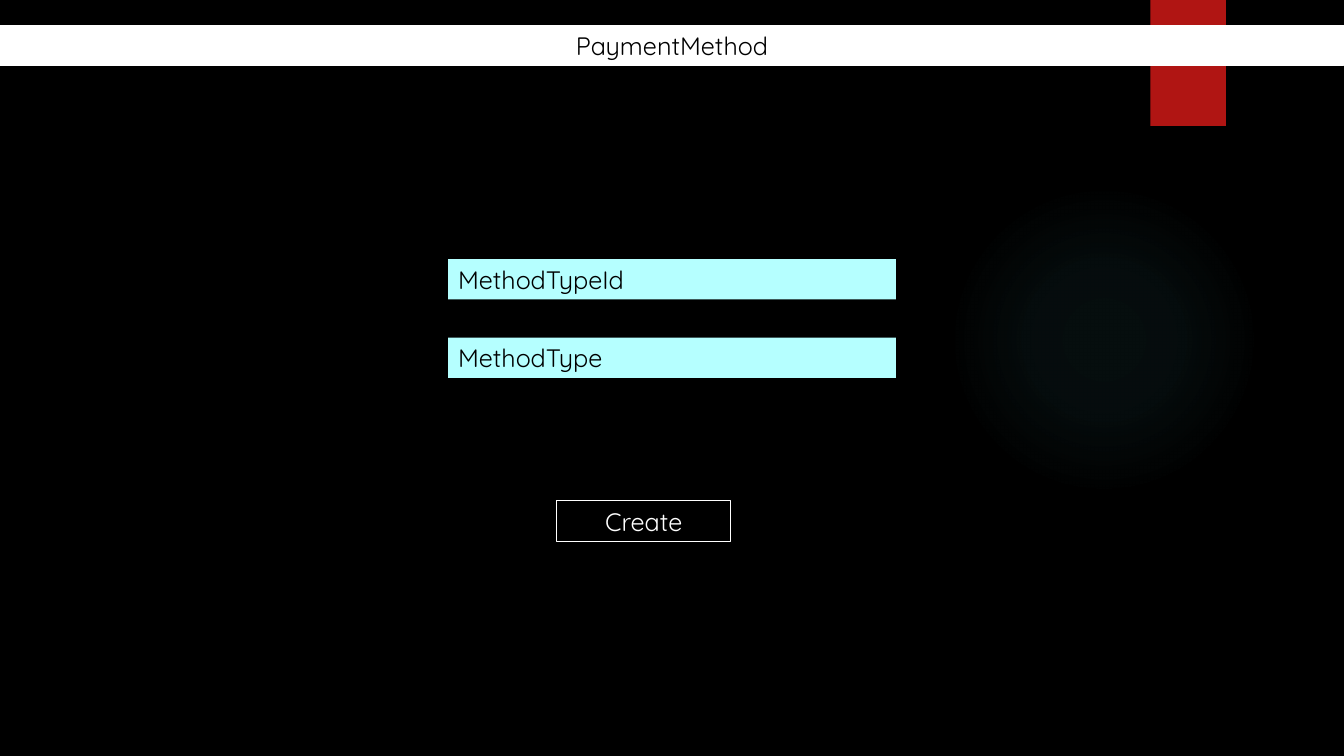
"""Build the PaymentMethod form slide."""
from pptx import Presentation
from pptx.dml.color import RGBColor
from pptx.enum.shapes import MSO_SHAPE
from pptx.enum.text import MSO_ANCHOR, MSO_AUTO_SIZE, PP_ALIGN
from pptx.oxml import parse_xml
from pptx.oxml.ns import nsdecls
from pptx.util import Inches, Pt

BLACK = RGBColor(0x00, 0x00, 0x00)
WHITE = RGBColor(0xFF, 0xFF, 0xFF)
RED = RGBColor(0xB0, 0x15, 0x13)
AQUA = RGBColor(0xB5, 0xFF, 0xFF)
GLOW = RGBColor(0x50, 0xB9, 0xC1)

FONT = "Quicksand"
SLIDE_W, SLIDE_H = 13.33, 7.5
BAR_H = 0.4
TITLE = "PaymentMethod"
FIELDS = ["MethodTypeId", "MethodType"]
FIELD_W, FIELD_TOP, FIELD_STEP = 4.44, 2.57, 0.78
BUTTON = "Create"
GLOW_STOPS = [(0, 7), (36, 6), (69, 0)]


def add_block(s, kind, left, top, width, height, fill=None, line=None):
    sp = s.shapes.add_shape(kind, Inches(left), Inches(top), Inches(width), Inches(height))
    sp.shadow.inherit = False
    if fill is None:
        sp.fill.background()
    else:
        sp.fill.solid()
        sp.fill.fore_color.rgb = fill
    if line is None:
        sp.line.fill.background()
    else:
        sp.line.color.rgb = line
        sp.line.width = Pt(0.75)
    return sp


def add_bar(s, text, left, top, width, fill, color, align, line=None):
    sp = add_block(s, MSO_SHAPE.RECTANGLE, left, top, width, BAR_H, fill, line)
    tf = sp.text_frame
    tf.text = text
    tf.word_wrap = True
    tf.auto_size = MSO_AUTO_SIZE.SHAPE_TO_FIT_TEXT
    tf.vertical_anchor = MSO_ANCHOR.TOP
    p = tf.paragraphs[0]
    p.alignment = align
    font = p.runs[0].font
    font.name = FONT
    font.size = Pt(18)
    font.color.rgb = color


def add_glow(s):
    sp = add_block(s, MSO_SHAPE.OVAL, 9.41, 1.83, 3.08, 3.08)
    stops = "".join(
        f'<a:gs pos="{pos * 1000}"><a:srgbClr val="{GLOW}">'
        f'<a:alpha val="{alpha * 1000}"/></a:srgbClr></a:gs>'
        for pos, alpha in GLOW_STOPS
    )
    gradient = parse_xml(
        f'<a:gradFill {nsdecls("a")} rotWithShape="1"><a:gsLst>{stops}</a:gsLst>'
        '<a:path path="circle"><a:fillToRect l="50000" t="50000" r="50000" b="50000"/>'
        "</a:path></a:gradFill>"
    )
    sp_pr = sp.element.spPr
    sp_pr.replace(sp_pr.find("{*}noFill"), gradient)


def add_ribbon(s):
    sp = add_block(s, MSO_SHAPE.RECTANGLE, 11.41, 0, 0.75, 1.25, RED)
    sp.element.spPr.find("{*}effectLst").append(parse_xml(
        f'<a:outerShdw {nsdecls("a")} blurRad="{Pt(3)}" dist="{Pt(2)}" dir="5400000" '
        'rotWithShape="0"><a:srgbClr val="000000"><a:alpha val="45000"/></a:srgbClr>'
        "</a:outerShdw>"
    ))


def main():
    prs = Presentation()
    prs.slide_width, prs.slide_height = Inches(SLIDE_W), Inches(SLIDE_H)
    s = prs.slides.add_slide(prs.slide_layouts[6])
    s.background.fill.solid()
    s.background.fill.fore_color.rgb = BLACK

    add_glow(s)
    add_ribbon(s)
    add_bar(s, TITLE, 0, 0.25, SLIDE_W, WHITE, BLACK, PP_ALIGN.CENTER, WHITE)
    field_left = (SLIDE_W - FIELD_W) / 2
    for i, field in enumerate(FIELDS):
        top = FIELD_TOP + i * FIELD_STEP
        add_bar(s, field, field_left, top, FIELD_W, AQUA, BLACK, PP_ALIGN.LEFT)
    add_bar(s, BUTTON, 5.52, 4.97, 1.73, BLACK, WHITE, PP_ALIGN.CENTER, WHITE)
    prs.save("out.pptx")


if __name__ == "__main__":
    main()
